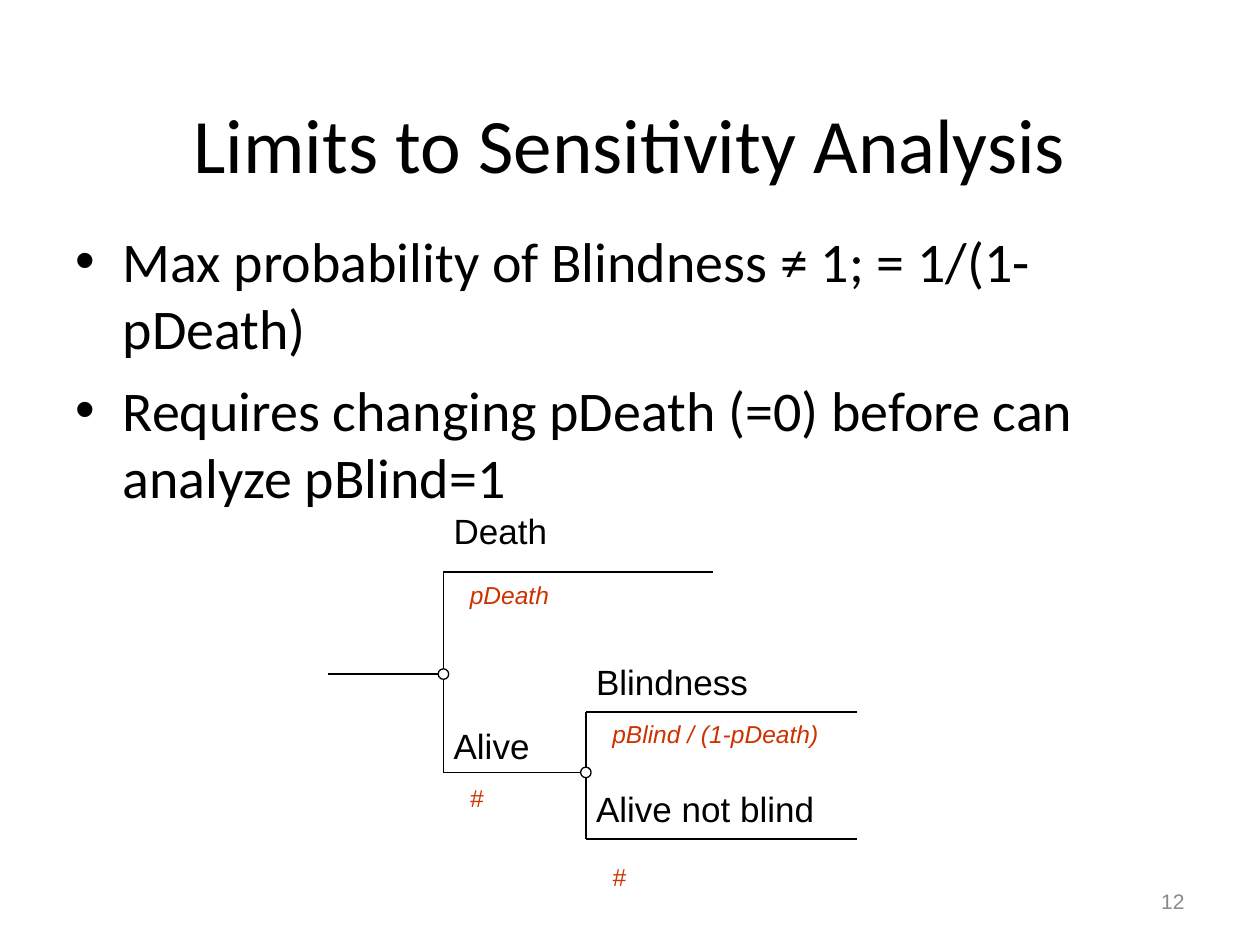
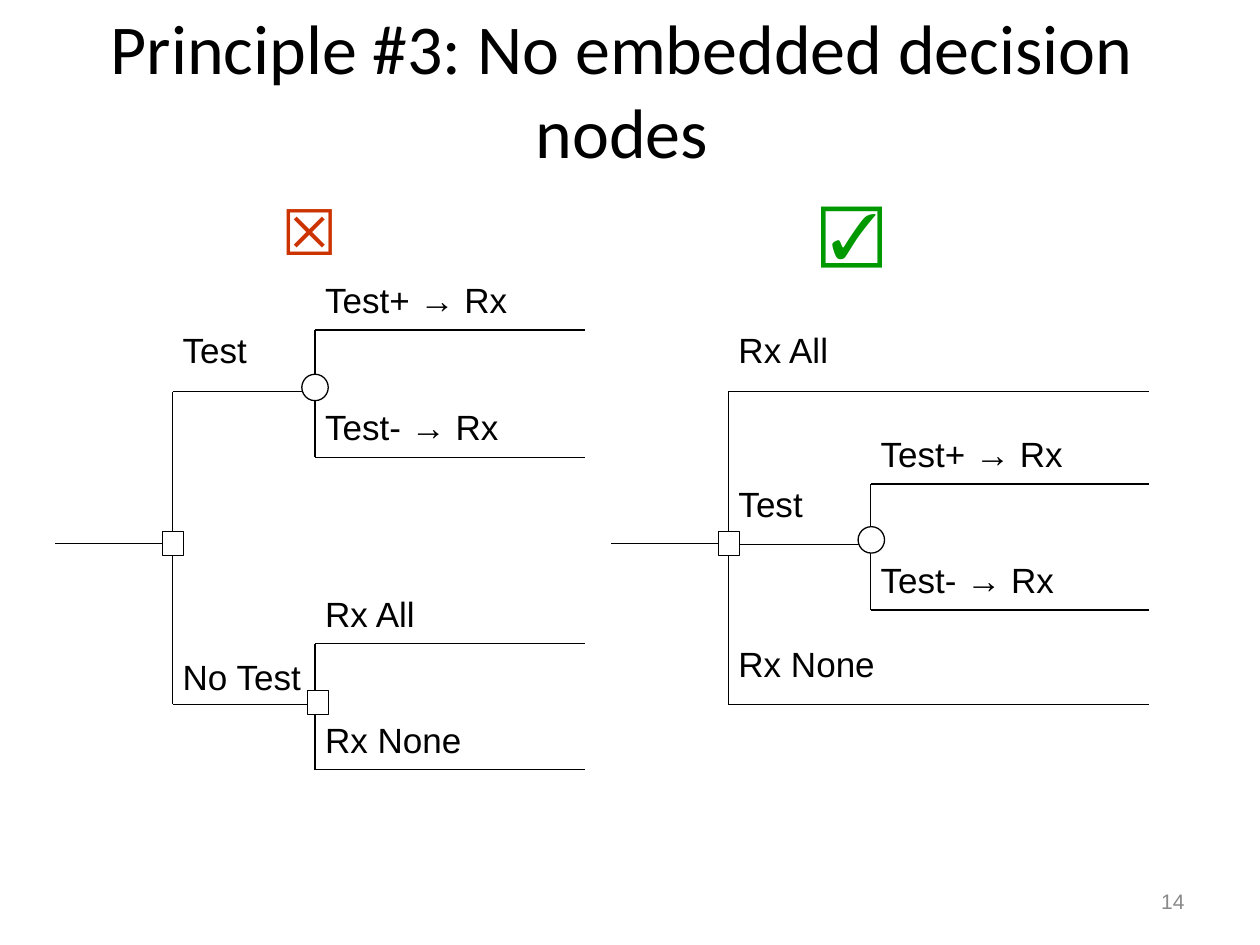
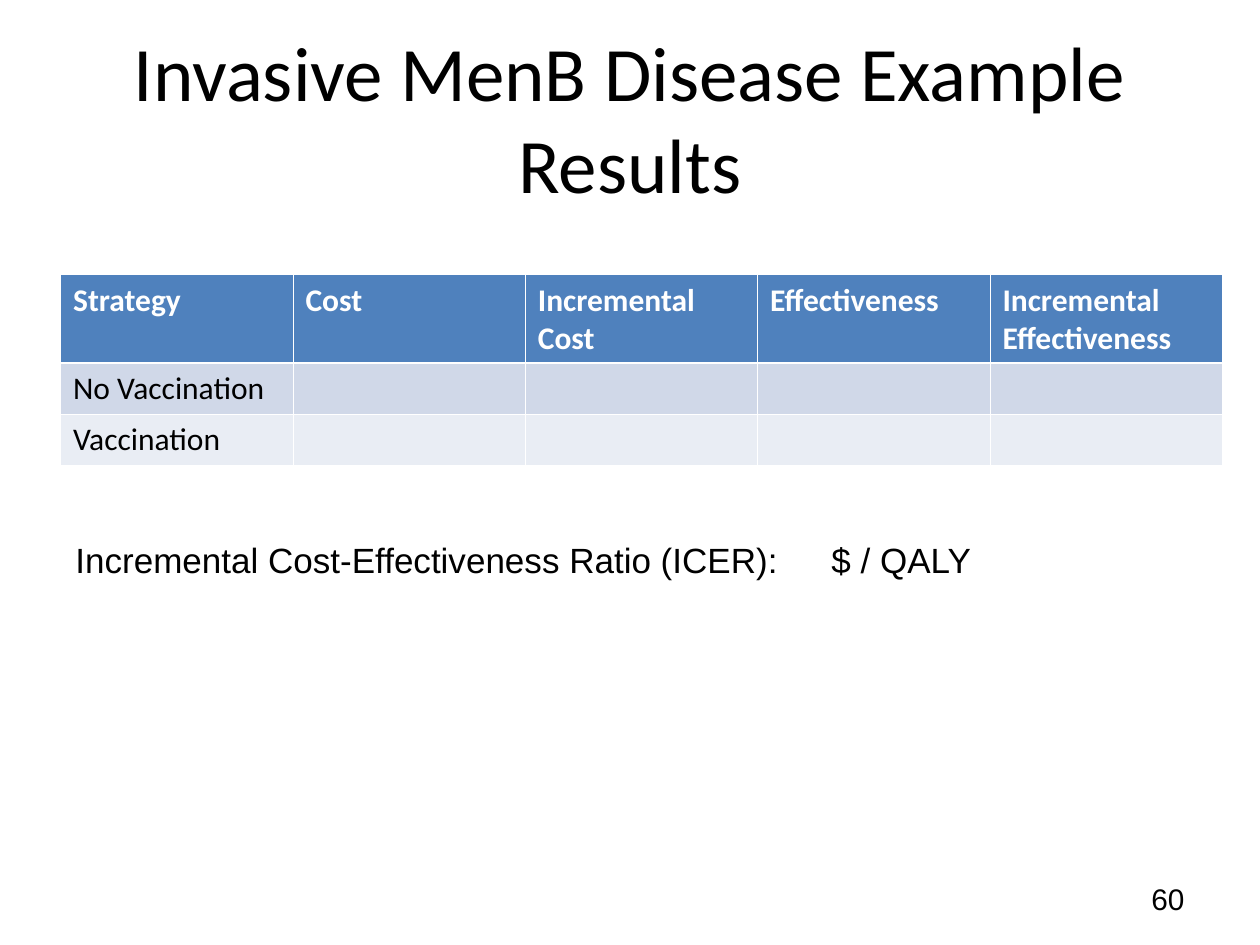
from lxml import etree
from pptx import Presentation
from pptx.dml.color import RGBColor
from pptx.enum.shapes import MSO_CONNECTOR, MSO_SHAPE
from pptx.enum.text import MSO_ANCHOR, MSO_AUTO_SIZE, PP_ALIGN
from pptx.oxml.ns import qn
from pptx.util import Pt

STRAIGHT = MSO_CONNECTOR.STRAIGHT
CIRCLE, SQUARE = MSO_SHAPE.OVAL, MSO_SHAPE.RECTANGLE
TOP, MIDDLE, BOTTOM = MSO_ANCHOR.TOP, MSO_ANCHOR.MIDDLE, MSO_ANCHOR.BOTTOM
LEFT, CENTER, RIGHT = PP_ALIGN.LEFT, PP_ALIGN.CENTER, PP_ALIGN.RIGHT
GROW = MSO_AUTO_SIZE.SHAPE_TO_FIT_TEXT

BLACK, WHITE, GREY = "000000", "FFFFFF", "898989"
RED, GREEN = "CC3300", "009900"
HEADER_BLUE, BAND_DARK, BAND_LIGHT = "4F81BD", "D0D8E8", "E9EDF4"


def color(hex_value):
    return RGBColor.from_string(hex_value)


def write(frame, lines, font, ink=BLACK, align=LEFT, **frame_format):
    for attribute, value in frame_format.items():
        setattr(frame, attribute, value)
    for index, line in enumerate(lines):
        paragraph = frame.add_paragraph() if index else frame.paragraphs[0]
        paragraph.text = line
        paragraph.alignment = align
        for run in paragraph.runs:
            for attribute, value in font.items():
                setattr(run.font, attribute, value)
            run.font.color.rgb = color(ink)


NO_MARGINS = dict.fromkeys(("margin_left", "margin_top", "margin_right", "margin_bottom"), 0)
LABEL = {**NO_MARGINS, "word_wrap": False, "auto_size": GROW}
LABEL_FONT = {"name": "Arial", "size": Pt(20)}
PROBABILITY_FONT = {"name": "Arial", "size": Pt(14), "italic": True}
LABEL_WIDTHS = {
    "Death": 56, "Alive": 46, "Blindness": 89, "Alive not blind": 127,
    "pDeath": 47, "pBlind / (1-pDeath)": 120, "#": 9,
    "Test": 40, "No Test": 72, "Test+ → Rx": 108, "Test- → Rx": 103,
    "Rx All": 54, "Rx None": 80,
}

presentation = Presentation()
presentation.slide_width, presentation.slide_height = Pt(720), Pt(540)

headings = [
    ("Limits to Sensitivity Analysis", 44, (36, 21.6, 648, 90), BOTTOM, "12", 12, GREY, 1),
    ("Principle #3: No embedded decision nodes", 40, (54, 12.2, 602.6, 90), BOTTOM, "14", 12, GREY, 1),
    ("Invasive MenB Disease Example\nResults", 44, (36, 21.6, 648, 90), MIDDLE, "60", 17, BLACK, 0.9),
]
slides = []
for title, title_size, title_place, anchor, number, number_size, number_ink, spacing in headings:
    slide = presentation.slides.add_slide(presentation.slide_layouts[6])
    slides.append(slide)
    title_box = slide.shapes.add_textbox(*map(Pt, title_place))
    write(title_box.text_frame, [title], {"name": "Calibri", "size": Pt(title_size)},
          align=CENTER, word_wrap=True, vertical_anchor=anchor)
    number_box = slide.shapes.add_textbox(Pt(516.2), Pt(500.4), Pt(167.8), Pt(28.8))
    write(number_box.text_frame, [number], {"name": "Arial", "size": Pt(number_size)},
          number_ink, RIGHT, word_wrap=True, vertical_anchor=MIDDLE)
    number_box.text_frame.paragraphs[0].line_spacing = spacing
limits, principle, results = slides

points = limits.shapes.add_textbox(Pt(36), Pt(126), Pt(648), Pt(356.4)).text_frame
write(points, [
    "Max probability of Blindness ≠ 1; = 1/(1-pDeath)",
    "Requires changing pDeath (=0) before can analyze pBlind=1",
], {"name": "Calibri", "size": Pt(32)}, word_wrap=True, vertical_anchor=TOP)
for index, point in enumerate(points.paragraphs):
    point.space_before = Pt(8 if index else 0)
    properties = point._p.get_or_add_pPr()
    properties.set("marL", str(Pt(27)))
    properties.set("indent", str(-Pt(27)))
    bullet_color = etree.SubElement(properties, qn("a:buClr"))
    etree.SubElement(bullet_color, qn("a:srgbClr"), val=BLACK)
    etree.SubElement(properties, qn("a:buFont"), typeface="Arial")
    etree.SubElement(properties, qn("a:buChar"), char="•")

forks = [
    (limits, 187.2, 253.4, CIRCLE, (253.4, 385.2), (6, 6), [
        (407.5, 326.9, "Death", 36, "pDeath", 4.3),
        (334.8, 441.4, "Alive", 27.4, "#", 5.8)]),
    (limits, None, 334.8, CIRCLE, (334.8, 441.4), (6, 6), [
        (489.6, 406.8, "Blindness", 29.5, "pBlind / (1-pDeath)", 4.3),
        (489.6, 479.5, "Alive not blind", 29.5, "#", 13)]),
    (principle, 31.7, 98.6, SQUARE, (98.9, 310.5), (12.2, 13.7), [
        (180, 223.9, "Test", 36, None, 0),
        (180, 402.5, "No Test", 28.1, None, 0)]),
    (principle, None, 180, CIRCLE, (180, 221.4), (15.1, 15.1), [
        (334.1, 188.6, "Test+ → Rx", 29.5, None, 0),
        (334.1, 261.4, "Test- → Rx", 29.5, None, 0)]),
    (principle, None, 180, SQUARE, (181.8, 401.4), (12.2, 13.7), [
        (334.1, 367.9, "Rx All", 29.5, None, 0),
        (334.1, 439.9, "Rx None", 29.5, None, 0)]),
    (principle, 349.2, 416.2, SQUARE, (416.5, 310.5), (12.2, 13.7), [
        (656.6, 223.9, "Rx All", 36, None, 0),
        (497.5, 311, "Test", 35.3, None, 0),
        (656.6, 402.5, "Rx None", 35.3, None, 0)]),
    (principle, None, 497.5, CIRCLE, (497.9, 308.5), (15.1, 15.1), [
        (656.6, 276.5, "Test+ → Rx", 29.5, None, 0),
        (656.6, 348.5, "Test- → Rx", 29.5, None, 0)]),
]
for slide, stem_start, trunk, node_shape, (node_x, node_y), (node_width, node_height), branches in forks:
    lines = [(trunk, branches[0][1], trunk, branches[-1][1])]
    if stem_start is not None:
        lines.append((stem_start, node_y, trunk, node_y))
    for end, y, label, rise, probability, drop in branches:
        lines.append((trunk, y, end, y))
        captions = [(label, trunk + 5.8, y - rise, 24, LABEL_FONT, BLACK)]
        if probability:
            captions.append((probability, trunk + 15.1, y + drop, 16.6, PROBABILITY_FONT, RED))
        for caption, left, top, height, font, ink in captions:
            caption_box = slide.shapes.add_textbox(
                Pt(left), Pt(top), Pt(LABEL_WIDTHS[caption]), Pt(height))
            write(caption_box.text_frame, [caption], font, ink, **LABEL)
    for ends in lines:
        connector = slide.shapes.add_connector(STRAIGHT, *map(Pt, ends))
        connector.line.width = Pt(0.75)
        connector.line.color.rgb = color(BLACK)
        etree.SubElement(connector._element.spPr, qn("a:effectLst"))
    node = slide.shapes.add_shape(
        node_shape, Pt(node_x - node_width / 2), Pt(node_y - node_height / 2),
        Pt(node_width), Pt(node_height))
    node.shadow.inherit = False
    node.fill.solid()
    node.fill.fore_color.rgb = color(WHITE)
    node.line.width = Pt(0.75)
    node.line.color.rgb = color(BLACK)

for verdict, left, ink in [("☒", 144, RED), ("☑", 454.3, GREEN)]:
    verdict_box = principle.shapes.add_textbox(Pt(left), Pt(110.2), Pt(65.5), Pt(43.2))
    write(verdict_box.text_frame, [verdict], {"name": "Arial", "size": Pt(36)}, ink, CENTER,
          **{**LABEL, "word_wrap": True})

strategy_rows = [
    ["Strategy", "Cost", "Incremental Cost", "Effectiveness", "Incremental Effectiveness"],
    ["No Vaccination", "", "", "", ""],
    ["Vaccination", "", "", "", ""],
]
row_formats = [
    (50.6, HEADER_BLUE, WHITE, True, 0.45, 1.47),
    (29.2, BAND_DARK, BLACK, False, 1.47, 0.45),
    (29.2, BAND_LIGHT, BLACK, False, 0.45, 0.45),
]
strategies = results.shapes.add_table(3, 5, Pt(34.6), Pt(157), Pt(664), Pt(109)).table
for column in strategies.columns:
    column.width = Pt(132.8)
for row, texts, (height, band, ink, bold, upper, lower) in zip(
        strategies.rows, strategy_rows, row_formats):
    row.height = Pt(height)
    for cell, text in zip(row.cells, texts):
        write(cell.text_frame, [text], {"name": "Calibri", "size": Pt(18), "bold": bold}, ink)
        cell_properties = cell._tc.get_or_add_tcPr()
        for side, width in [("L", 0.45), ("R", 0.45), ("T", upper), ("B", lower)]:
            border = etree.SubElement(cell_properties, qn(f"a:ln{side}"), w=str(Pt(width)))
            border_fill = etree.SubElement(border, qn("a:solidFill"))
            etree.SubElement(border_fill, qn("a:srgbClr"), val=WHITE)
        cell.fill.solid()
        cell.fill.fore_color.rgb = color(band)

ratio = results.shapes.add_textbox(Pt(36), Pt(304), Pt(528), Pt(31.7)).text_frame
ratio_properties = ratio.paragraphs[0]._p.get_or_add_pPr()
ratio_tabs = etree.SubElement(ratio_properties, qn("a:tabLst"))
etree.SubElement(ratio_tabs, qn("a:tab"), pos=str(Pt(432)), algn="l")
write(ratio, ["Incremental Cost-Effectiveness Ratio (ICER):\t$ / QALY"], LABEL_FONT,
      word_wrap=False, auto_size=GROW)

presentation.save("out.pptx")
